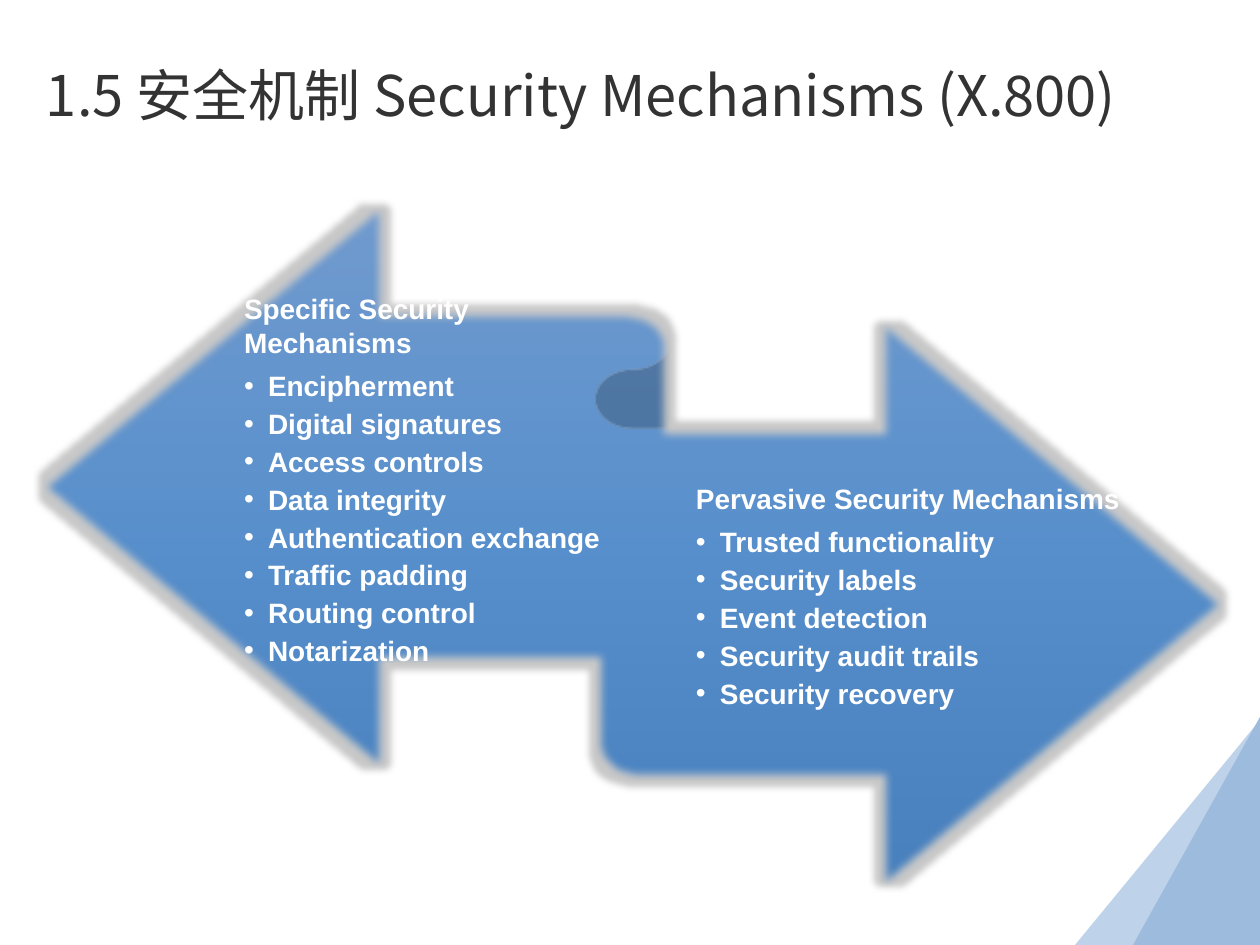
from pptx import Presentation
from pptx.dml.color import RGBColor
from pptx.enum.shapes import MSO_SHAPE as Shape
from pptx.enum.text import MSO_ANCHOR as Anchor, PP_ALIGN as Align
from pptx.oxml import parse_xml
from pptx.oxml.ns import nsdecls, qn
from pptx.util import Pt

WIDTH, HEIGHT = 1260, 945
SCALE = 914400 / 126

TITLE = "1.5 安全机制 Security Mechanisms (X.800)"
TITLE_AREA = (32, 55, 1207, 108)
RIBBON_AREA = (35, 195, 1197, 703)
RIBBON_STOPS = [(0, "729BCE"), (50, "578FCC"), (100, "477FBC")]
HALO = "C8C8C8"
MECHANISMS = [
    {
        "area": (244, 363, 394, 234),
        "heading": "Specific Security Mechanisms",
        "items": ["Encipherment", "Digital signatures", "Access controls",
                  "Data integrity", "Authentication exchange",
                  "Traffic padding", "Routing control", "Notarization"],
    },
    {
        "area": (696, 479, 467, 234),
        "heading": "Pervasive Security Mechanisms",
        "items": ["Trusted functionality", "Security labels",
                  "Event detection", "Security audit trails",
                  "Security recovery"],
    },
]
CORNER_BACK = [(WIDTH, 720), (WIDTH, HEIGHT), (1075, HEIGHT)]
CORNER_FRONT = (1133, 717, 127, 228)


def px(length):
    return round(length * SCALE)


def color(value):
    return RGBColor.from_string(value)


def paint(shape, fill=None):
    """Remove outline and shadow, and fill with one colour if given."""
    shape.shadow.inherit = False
    shape.line.fill.background()
    if fill:
        shape.fill.solid()
        shape.fill.fore_color.rgb = color(fill)


def add_span(para, text, font="Arial", size=16, ink="FFFFFF", bold=False):
    span = para.add_run()
    span.text = text
    span.font.name = font
    span.font.size = Pt(size)
    span.font.bold = bold
    span.font.color.rgb = color(ink)
    span.font._element.append(
        parse_xml(f'<a:ea {nsdecls("a")} typeface="{font}"/>'))


def set_margins(frame, left, top, right, bottom):
    frame.margin_left, frame.margin_top = px(left), px(top)
    frame.margin_right, frame.margin_bottom = px(right), px(bottom)


def add_corner(page):
    builder = page.shapes.build_freeform(*CORNER_BACK[0], scale=SCALE)
    builder.add_line_segments(CORNER_BACK[1:], close=True)
    paint(builder.convert_to_shape(), "BED2E9")
    front = page.shapes.add_shape(Shape.ISOSCELES_TRIANGLE,
                                  *map(px, CORNER_FRONT))
    front.adjustments[0] = 1
    paint(front, "9DBCDD")


def fill_title(page):
    title = page.shapes.title
    title.left, title.top, title.width, title.height = map(px, TITLE_AREA)
    frame = title.text_frame
    frame.word_wrap = True
    frame.vertical_anchor = Anchor.TOP
    set_margins(frame, 14, 5, 10, 5)
    para = frame.paragraphs[0]
    para.alignment = Align.LEFT
    para.line_spacing = 1.0
    add_span(para, TITLE, font="Noto Sans CJK SC", size=32, ink="333333")


def add_ribbon(page):
    """Add the double arrow with its gradient, soft edge and grey halo."""
    ribbon = page.shapes.add_shape(Shape.LEFT_RIGHT_RIBBON,
                                   *map(px, RIBBON_AREA))
    paint(ribbon)
    stops = "".join(
        f'<a:gs pos="{place * 1000}"><a:srgbClr val="{value}"/></a:gs>'
        for place, value in RIBBON_STOPS)
    properties = ribbon._element.spPr
    properties.find(qn("a:prstGeom")).addnext(parse_xml(
        f'<a:gradFill {nsdecls("a")} rotWithShape="1"><a:gsLst>{stops}</a:gsLst>'
        '<a:lin ang="5400000" scaled="0"/></a:gradFill>'))
    effects = properties.find(qn("a:effectLst"))
    effects.append(parse_xml(
        f'<a:glow {nsdecls("a")} rad="{px(12)}">'
        f'<a:srgbClr val="{HALO}"/></a:glow>'))
    effects.append(parse_xml(f'<a:softEdge {nsdecls("a")} rad="63500"/>'))


def add_mechanisms(page, area, heading, items):
    box = page.shapes.add_textbox(*map(px, area))
    frame = box.text_frame
    frame.word_wrap = True
    frame.vertical_anchor = Anchor.MIDDLE
    set_margins(frame, 0, 8, 0, 9)
    para = frame.paragraphs[0]
    para.space_after = Pt(5.6)
    add_span(para, heading, bold=True)
    for item in items:
        para = frame.add_paragraph()
        para.level = 1
        para.space_after = Pt(2.4)
        properties = para._element.get_or_add_pPr()
        properties.set("marL", str(px(24)))
        properties.set("indent", str(px(-24)))
        for bullet in ('buFont {} typeface="Arial"', 'buChar {} char="•"'):
            properties.append(
                parse_xml(f'<a:{bullet.format(nsdecls("a"))}/>'))
        add_span(para, item, bold=True)


def main():
    deck = Presentation()
    deck.slide_width, deck.slide_height = px(WIDTH), px(HEIGHT)
    page = deck.slides.add_slide(deck.slide_layouts[5])
    add_corner(page)
    fill_title(page)
    add_ribbon(page)
    for group in MECHANISMS:
        add_mechanisms(page, **group)
    deck.save("out.pptx")


if __name__ == "__main__":
    main()
